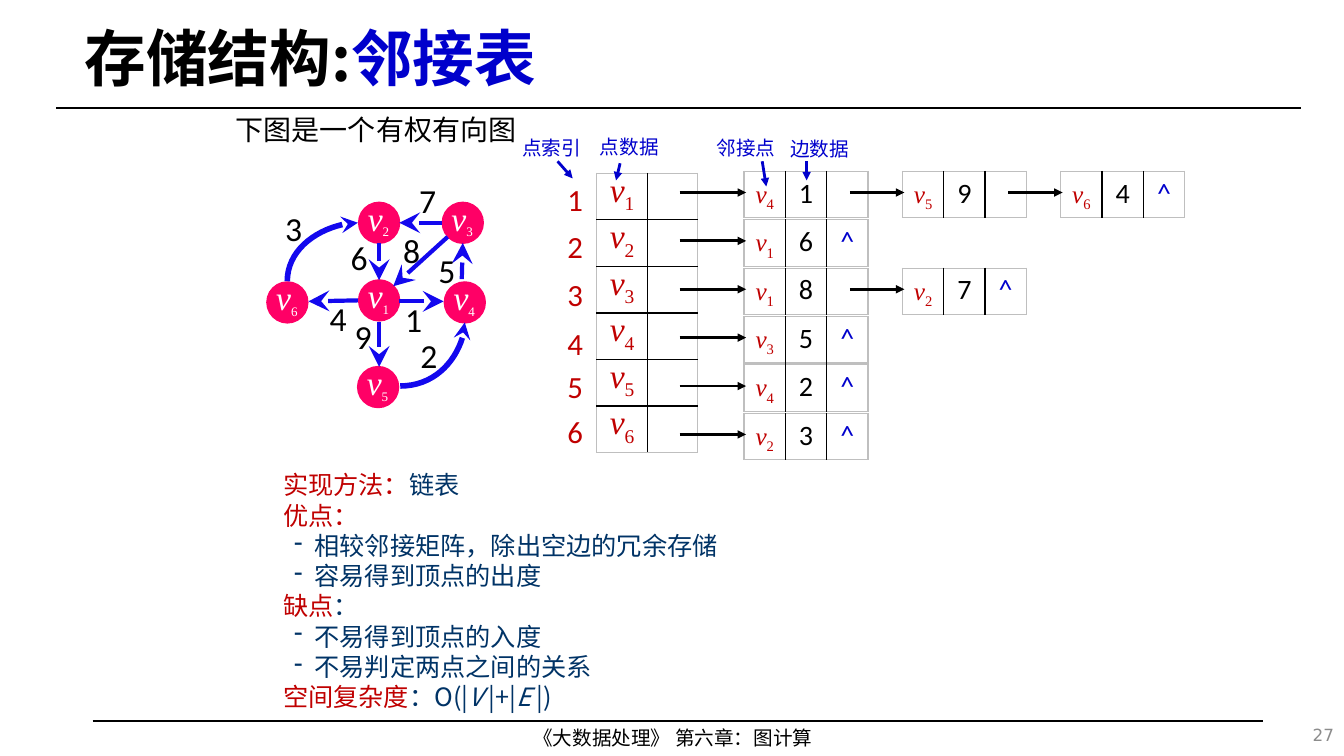
from dataclasses import dataclass

from lxml import etree
from pptx import Presentation
from pptx import util as u
from pptx.dml.color import RGBColor
from pptx.enum import shapes, text
from pptx.oxml.ns import qn

CJK, SERIF, SANS = "Noto Sans CJK SC", "Times New Roman", "Calibri"
BLACK, RED, BLUE, NAVY = "000000", "C00000", "0000CC", "003366"
EDGE_BLUE, PINK, GREY, WHITE = "1308EE", "FF0066", "BFBFBF", "FFFFFF"
CENTER = text.PP_ALIGN.CENTER


@dataclass
class Run:
    text: str
    size: float
    color: str = BLACK
    name: str = CJK
    bold: bool = False
    italic: bool = False
    sub: bool = False


@dataclass
class Arrow:
    x1: float
    y1: float
    x2: float
    y2: float
    color: str = BLACK
    width: float = 2
    end: str = "tailEnd"
    kind: str = "triangle"
    size: str = "med"
    curved: bool = False


@dataclass
class Label:
    text: str
    x: float
    y: float


@dataclass
class ListNode:
    vertex: int
    data: int


def rgb(color: str) -> RGBColor:
    return RGBColor.from_string(color)


def add_runs(p, runs: list[Run], **fmt) -> None:
    """Fill a paragraph with runs; fmt holds paragraph attributes."""
    for key, value in fmt.items():
        setattr(p, key, value)
    for run in runs:
        r = p.add_run()
        r.text = run.text
        for key in ("size", "name", "bold", "italic"):
            value = getattr(run, key)
            setattr(r.font, key, u.Pt(value) if key == "size" else value)
        r.font.color.rgb = rgb(run.color)
        rpr = r.font._element
        etree.SubElement(rpr, qn("a:ea"), typeface=run.name)
        if run.sub:
            rpr.set("baseline", "-25000")


def add_box(s, x: float, y: float, w: float, h: float, runs: list[Run],
            wrap: bool = False, anchor=text.MSO_ANCHOR.TOP, **fmt):
    tf = s.shapes.add_textbox(*map(u.Inches, (x, y, w, h))).text_frame
    tf.word_wrap = wrap
    tf.vertical_anchor = anchor
    add_runs(tf.paragraphs[0], runs, **fmt)
    return tf


def add_line(s, x1: float, y1: float, x2: float, y2: float, color: str,
             width: float, curved: bool = False):
    kind = shapes.MSO_CONNECTOR.CURVE if curved else shapes.MSO_CONNECTOR.STRAIGHT
    c = s.shapes.add_connector(kind, *map(u.Inches, (x1, y1, x2, y2)))
    c.line.color.rgb = rgb(color)
    c.line.width = u.Pt(width)
    sppr = c._element.spPr
    if curved:
        sppr.find(qn("a:prstGeom")).set("prst", "curvedConnector2")
    etree.SubElement(sppr, qn("a:effectLst"))
    return c


def add_arrow(s, a: Arrow) -> None:
    c = add_line(s, a.x1, a.y1, a.x2, a.y2, a.color, a.width, a.curved)
    etree.SubElement(c.line._get_or_add_ln(), qn(f"a:{a.end}"),
                     type=a.kind, w=a.size, len=a.size)


def vertex_runs(n: int, size: float, color: str, sub_size: float) -> list[Run]:
    return [Run("v", size, color, SERIF, italic=True),
            Run(str(n), sub_size, color, SERIF, sub=True)]


def add_grid(s, x: float, y: float, col_w: float, rows: list[list[list[Run]]]) -> None:
    """Draw a table with a grey frame and black inner rules."""
    n_rows, n_cols, row_h = len(rows), len(rows[0]), 0.46
    tbl = s.shapes.add_table(n_rows, n_cols, *map(
        u.Inches, (x, y, col_w * n_cols, row_h * n_rows))).table
    tbl.first_row = tbl.horz_banding = False
    for i, row in enumerate(rows):
        tbl.rows[i].height = u.Inches(row_h)
        for j, runs in enumerate(row):
            tbl.columns[j].width = u.Inches(col_w)
            cell = tbl.cell(i, j)
            outer = {"L": j == 0, "R": j == n_cols - 1, "T": i == 0, "B": i == n_rows - 1}
            for side, is_outer in outer.items():
                ln = etree.SubElement(cell._tc.get_or_add_tcPr(), qn(f"a:ln{side}"),
                                      w=str(u.Pt(1)))
                fill = etree.SubElement(ln, qn("a:solidFill"))
                etree.SubElement(fill, qn("a:srgbClr"), val=GREY if is_outer else BLACK)
            cell.fill.background()
            spacing = u.Pt(26) if j == 0 else None
            add_runs(cell.text_frame.paragraphs[0], runs, alignment=CENTER, line_spacing=spacing)


def add_notes_list(s) -> None:
    size = 18
    lines = [
        (False, [Run("实现方法：", size, RED), Run("链表", size, NAVY)]),
        (False, [Run("优点：", size, RED)]),
        (True, [Run("相较邻接矩阵，除出空边的冗余存储", size, NAVY)]),
        (True, [Run("容易得到顶点的出度", size, NAVY)]),
        (False, [Run("缺点", size, RED), Run("：", size, NAVY)]),
        (True, [Run("不易得到顶点的入度", size, NAVY)]),
        (True, [Run("不易判定两点之间的关系", size, NAVY)]),
        (False, [Run("空间复杂度", size, RED), Run("：O(|", size, NAVY),
                 Run("V ", size, NAVY, italic=True), Run("|+|", size, NAVY),
                 Run("E ", size, NAVY, italic=True), Run("|)", size, NAVY)]),
    ]
    tf = add_box(s, 2.71, 4.61, 5.12, 2.52, [], wrap=True)
    for i, (bullet, runs) in enumerate(lines):
        p = tf.add_paragraph() if i else tf.paragraphs[0]
        if bullet:
            ppr = p._p.get_or_add_pPr()
            ppr.set("marL", str(u.Inches(0.31)))
            ppr.set("indent", str(-u.Inches(0.2)))
            etree.SubElement(ppr, qn("a:buChar"), char="-")
        add_runs(p, runs, line_spacing=u.Pt(21.6))


def add_graph(s) -> None:
    vertices = {1: (3.55, 2.77), 2: (3.55, 2), 3: (4.38, 2),
                4: (4.4, 2.79), 5: (3.54, 3.63), 6: (2.64, 2.79)}
    straight = [(3.55, 2.98, 3.06, 2.99), (3.76, 3.19, 3.76, 3.64), (3.96, 2.99, 4.4, 2.99),
                (3.76, 2.41, 3.76, 2.78), (4.58, 2.77, 4.59, 2.41), (4.38, 2.21, 3.96, 2.21),
                (4.44, 2.35, 3.9, 2.84)]
    bends = [(3.55, 2.21, 2.85, 2.79, "headEnd"), (3.97, 3.83, 4.61, 3.2, "tailEnd")]
    weights = [Label("3", 2.73, 2.01), Label("4", 3.17, 2.91), Label("9", 3.42, 3.08),
               Label("6", 3.38, 2.3), Label("7", 4.06, 1.74), Label("8", 3.9, 2.23),
               Label("5", 4.25, 2.43), Label("2", 4.07, 3.27), Label("1", 3.92, 2.92)]
    for x, y in vertices.values():
        sp = s.shapes.add_shape(shapes.MSO_SHAPE.OVAL, *map(u.Inches, (x, y, 0.42, 0.42)))
        sp.shadow.inherit = False
        sp.fill.solid()
        sp.fill.fore_color.rgb = rgb(PINK)
        sp.line.fill.background()
    for ends in straight:
        add_arrow(s, Arrow(*ends, EDGE_BLUE, 3, kind="stealth", size="lg"))
    for *ends, end in bends:
        add_arrow(s, Arrow(*ends, EDGE_BLUE, 4, end, "stealth", curved=True))
    for w in weights:
        add_box(s, w.x, w.y, 0.37, 0.51, [Run(w.text, 24, name=SANS)])
    for n, (x, y) in vertices.items():
        add_box(s, x, y - 0.09, 0.43, 0.51, vertex_runs(n, 24, WHITE, 16))


def add_adjacency_list(s) -> None:
    chains = [[ListNode(4, 1), ListNode(5, 9), ListNode(6, 4)], [ListNode(1, 6)],
              [ListNode(1, 8), ListNode(2, 7)], [ListNode(3, 5)],
              [ListNode(4, 2)], [ListNode(2, 3)]]
    index_tops = [1.69, 2.16, 2.64, 3.12, 3.55, 4]
    add_grid(s, 5.92, 1.72, 0.5,
             [[vertex_runs(n, 24, RED, 24), []] for n in range(1, len(chains) + 1)])
    for i, (chain, index_top) in enumerate(zip(chains, index_tops)):
        y = 1.7 + 0.48 * i
        add_box(s, 5.53, index_top, 0.34, 0.51, [Run(str(i + 1), 22, RED, SANS)],
                wrap=True, alignment=CENTER, line_spacing=u.Pt(30))
        for j, node in enumerate(chain):
            x = 7.38 + 1.57 * j
            last = j == len(chain) - 1 and (i, j) != (None, None)
            add_grid(s, x, y, 0.41, [[vertex_runs(node.vertex, 18, RED, 18),
                                      [Run(str(node.data), 20, name=SANS)],
                                      [Run("^", 20, BLUE, SANS)] if last else []]])
            add_arrow(s, Arrow(x - (0.52 if j else 0.64), y + 0.21, x + 0.02, y + 0.21))
    captions = [(Label("点索引", 5.08, 1.3), (5.53, 1.6, 5.68, 1.77)),
                (Label("点数据", 5.85, 1.29), (6.15, 1.62, 6.11, 1.79)),
                (Label("邻接点", 7.01, 1.3), (7.56, 1.6, 7.6, 1.85)),
                (Label("边数据", 7.74, 1.31), (8, 1.6, 8, 1.79))]
    for label, ends in captions:
        add_arrow(s, Arrow(*ends, BLUE))
        add_box(s, label.x, label.y, 0.79, 0.34, [Run(label.text, 14, BLUE)],
                line_spacing=u.Pt(16.8))


def main() -> None:
    prs = Presentation()
    prs.slide_width, prs.slide_height = u.Inches(13.33), u.Inches(7.5)
    s = prs.slides.add_slide(prs.slide_layouts[6])
    middle = text.MSO_ANCHOR.MIDDLE
    add_line(s, 0.56, 1.07, 12.9, 1.07, BLACK, 1.75)
    add_line(s, 0.92, 7.15, 12.53, 7.15, BLACK, 1.25)
    add_box(s, 3.99, 7.15, 5.37, 0.34, [Run("《大数据处理》 第六章：图计算", 14)],
            wrap=True, alignment=CENTER, line_spacing=u.Pt(16.8))
    add_box(s, 0.74, 0.15, 11.95, 0.92,
            [Run("存储结构:", 44, bold=True), Run("邻接表", 44, BLUE, bold=True)],
            wrap=True, anchor=middle, line_spacing=0.9)
    add_graph(s)
    add_box(s, 2.24, 1.07, 3.01, 0.44, [Run("下图是一个有权有向图", 20)], line_spacing=u.Pt(24))
    add_adjacency_list(s)
    add_notes_list(s)
    add_box(s, 10.33, 7.09, 3, 0.4, [Run("27", 12, "8C8C8C", "DejaVu Sans")],
            wrap=True, anchor=middle, alignment=text.PP_ALIGN.RIGHT)
    prs.save("out.pptx")


if __name__ == "__main__":
    main()
